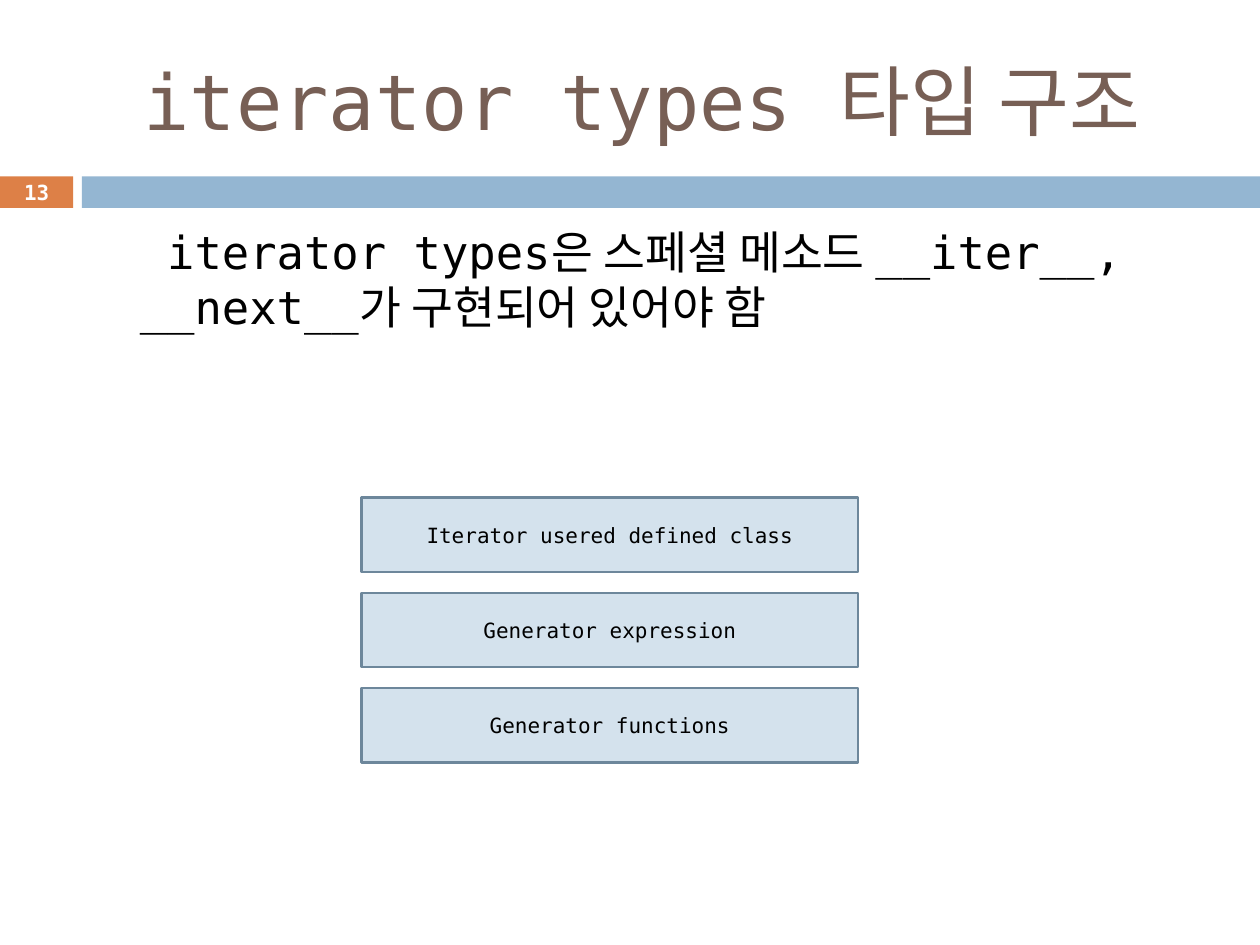
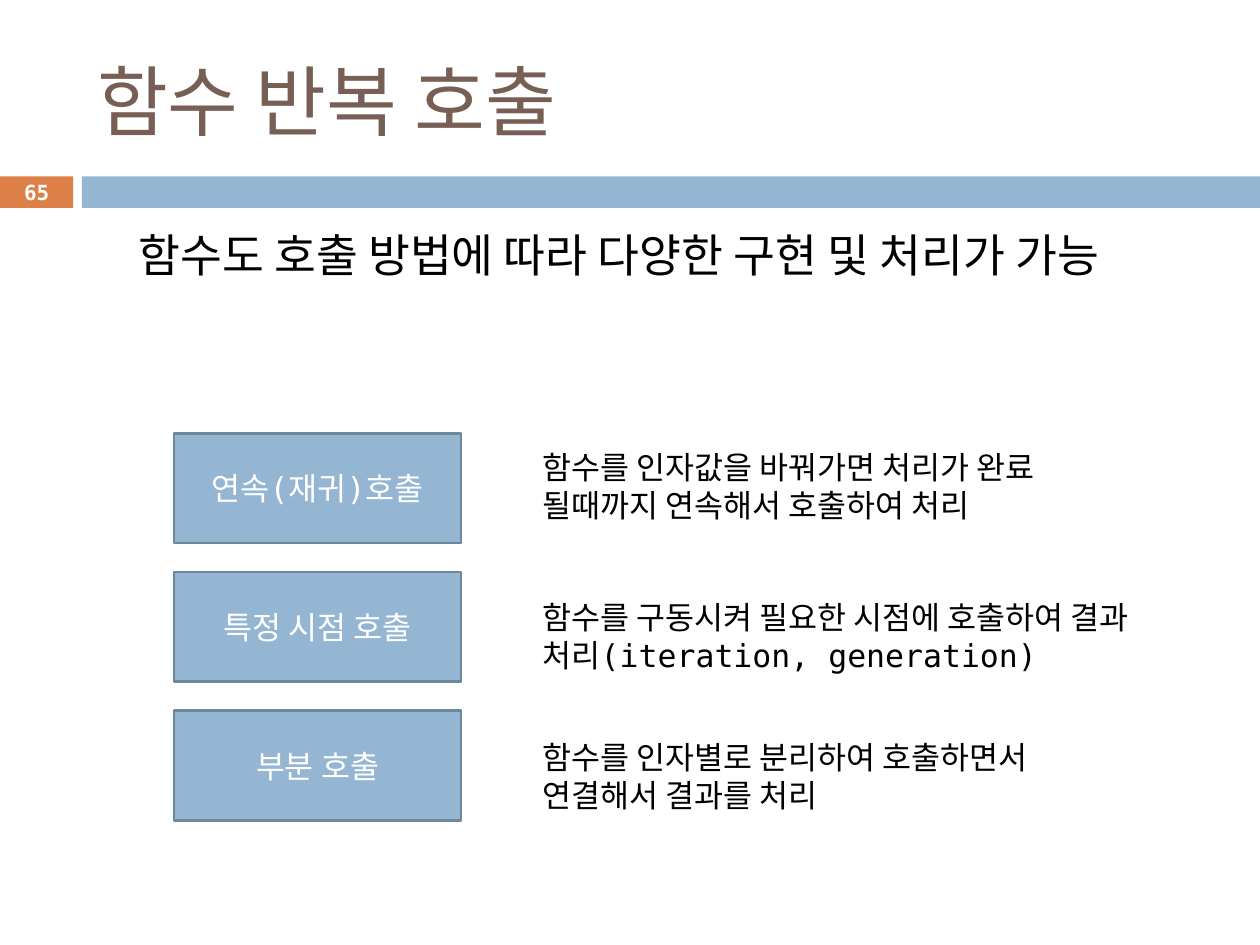
"""Build two slides on iterator types and ways of calling functions."""
from pptx import Presentation
from pptx.dml.color import RGBColor
from pptx.enum.shapes import MSO_SHAPE
from pptx.enum.text import MSO_ANCHOR, MSO_AUTO_SIZE, PP_ALIGN
from pptx.util import Inches, Pt

FONT = "DejaVu Sans Mono"
ORANGE, BLUE, PALE, EDGE = "DD8047", "94B6D2", "D4E2ED", "6D879B"
BROWN, BLACK, WHITE = "775F55", "000000", "FFFFFF"

PAGES = [
    {
        "title": " iterator types 타입 구조",
        "lead": " iterator types은 스페셜 메소드 __iter__, __next__가 구현되어 있어야 함",
        "area": (0.51, 1.73, 9, 1.47),
        "number": "13",
        "boxes": ["Iterator usered defined class", "Generator expression",
                  "Generator functions"],
        "first": (2.87, 3.95, 3.94, 0.59),
        "step": 0.755,
        "look": {"fill": PALE, "size": 12, "color": BLACK},
        "notes": [],
    },
    {
        "title": "함수 반복 호출",
        "lead": "함수도 호출 방법에 따라 다양한 구현 및 처리가 가능",
        "area": (0.5, 1.75, 9, 1.37),
        "number": "65",
        "boxes": ["연속(재귀)호출", "특정 시점 호출", "부분 호출"],
        "first": (1.38, 3.44, 2.28, 0.87),
        "step": 1.1,
        "look": {"fill": BLUE, "size": 18, "color": WHITE},
        "notes": [
            (3.51, "함수를 인자값을 바꿔가면 처리가 완료 될때까지 연속해서 호출하여 처리"),
            (4.7, "함수를 구동시켜 필요한 시점에 호출하여 결과 처리(iteration, generation)"),
            (5.81, "함수를 인자별로 분리하여 호출하면서 연결해서 결과를 처리"),
        ],
    },
]


def paint(target, color):
    target.rgb = RGBColor.from_string(color)


def write(shape, text, size=18, color=BLACK, bold=False, align=PP_ALIGN.LEFT,
          anchor=MSO_ANCHOR.MIDDLE, indent=0, before=0):
    frame = shape.text_frame
    frame.word_wrap = True
    frame.auto_size = MSO_AUTO_SIZE.NONE
    frame.vertical_anchor = anchor
    frame.margin_left = Inches(0.1 + indent)
    para = frame.paragraphs[0]
    para.alignment = align
    para.space_before = Pt(before)
    run = para.add_run()
    run.text = text
    run.font.name, run.font.size, run.font.bold = FONT, Pt(size), bold
    paint(run.font.color, color)


def block(shapes, area, fill, edge=None):
    shape = shapes.add_shape(MSO_SHAPE.RECTANGLE, *map(Inches, area))
    shape.shadow.inherit = False
    shape.fill.solid()
    paint(shape.fill.fore_color, fill)
    if edge:
        paint(shape.line.color, edge)
        shape.line.width = Pt(1.5)
    else:
        shape.line.fill.background()
    return shape


def label(shapes, area, text, **style):
    write(shapes.add_textbox(*map(Inches, area)), text, **style)


def frame_page(slide, page):
    shapes = slide.shapes
    block(shapes, (0, 1.4, 0.58, 0.25), ORANGE)
    block(shapes, (0.65, 1.4, 9.35, 0.25), BLUE)
    title = shapes.title
    title.left, title.top, title.width, title.height = map(
        Inches, (0.67, 0.25, 8.92, 1.08))
    write(title, page["title"], size=44, color=BROWN)
    label(shapes, page["area"], page["lead"], size=26, indent=0.5,
          before=5.5, anchor=MSO_ANCHOR.TOP)
    label(shapes, (0, 1.39, 0.58, 0.27), page["number"], size=11.9,
          color=WHITE, bold=True, align=PP_ALIGN.CENTER)


def stack(shapes, page):
    left, top, width, height = page["first"]
    look = page["look"]
    for row, text in enumerate(page["boxes"]):
        area = (left, top + row * page["step"], width, height)
        box = block(shapes, area, look["fill"], EDGE)
        write(box, text, size=look["size"], color=look["color"],
              align=PP_ALIGN.CENTER)


def main():
    deck = Presentation()
    deck.slide_width, deck.slide_height = Inches(10), Inches(7.5)
    for page in PAGES:
        slide = deck.slides.add_slide(deck.slide_layouts[5])
        frame_page(slide, page)
        stack(slide.shapes, page)
        for top, text in page["notes"]:
            label(slide.shapes, (4.21, top, 4.96, 0.71), text,
                  anchor=MSO_ANCHOR.TOP)
    deck.save("out.pptx")


if __name__ == "__main__":
    main()
